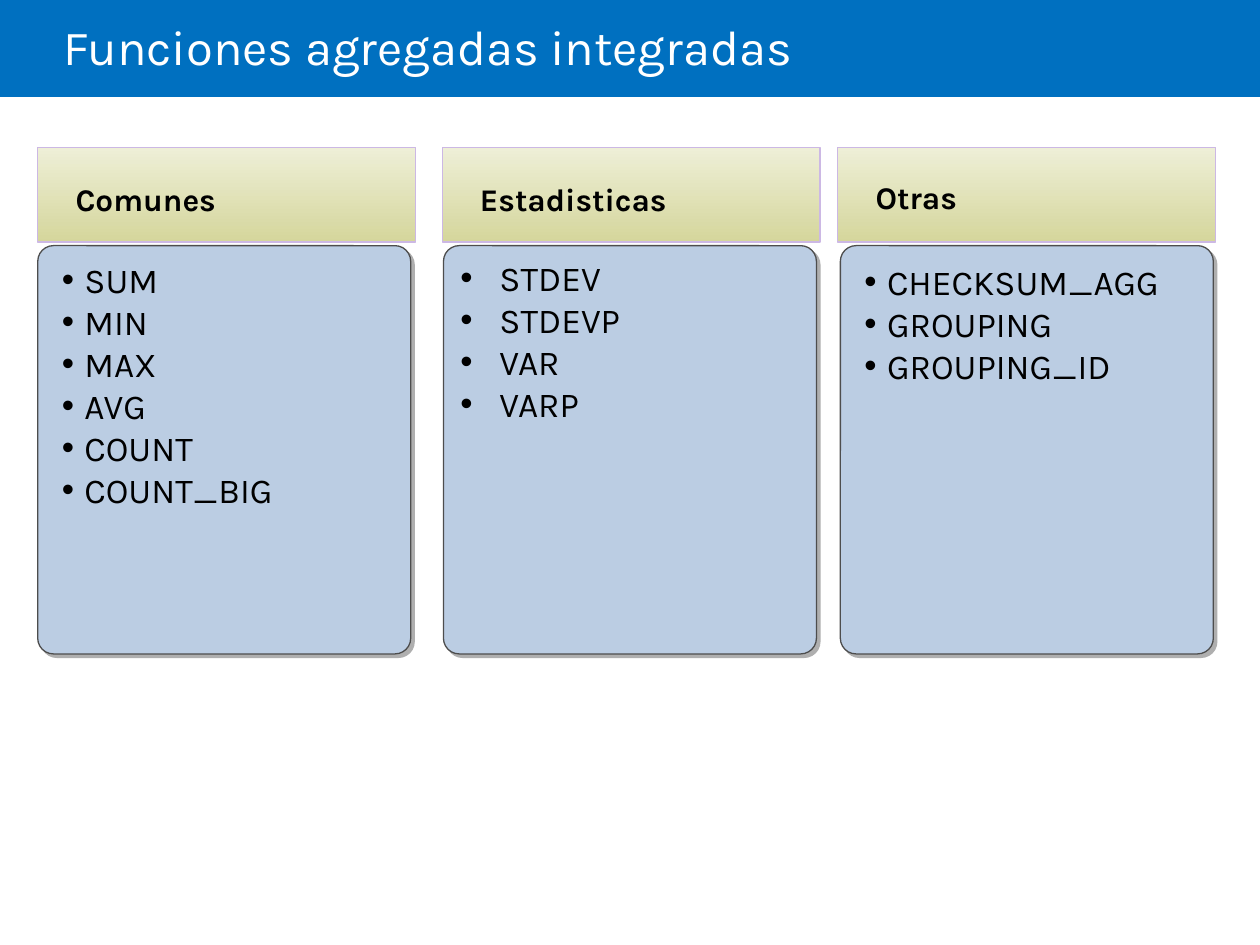
from dataclasses import dataclass

from lxml.etree import SubElement
from pptx import Presentation
from pptx.dml.color import RGBColor
from pptx.enum.shapes import MSO_SHAPE as Preset
from pptx.enum.text import MSO_ANCHOR as Anchor, PP_ALIGN as Align
from pptx.oxml.ns import qn
from pptx.util import Inches, Pt

GRID_COLUMNS, GRID_ROWS = 100, 75


@dataclass(frozen=True)
class Theme:
    font: str = "Karla"
    title_size: int = 28
    heading_size: int = 18
    item_size: int = 20
    band: str = "0070C0"
    title: str = "FFFFFF"
    text: str = "000000"
    panel: str = "BBCDE3"
    panel_line: str = "4D4D4D"
    shadow: str = "AFAFAF"
    heading_top: str = "EEEFD7"
    heading_bottom: str = "D5D69C"
    heading_line: str = "CCB8E4"


@dataclass(frozen=True)
class Box:
    """A place on the grid, in columns and rows."""
    column: float
    row: float
    columns: float
    rows: float


@dataclass(frozen=True)
class Category:
    heading: str
    functions: tuple[str, ...]
    heading_column: float
    panel_column: float
    list_box: Box | None = None  # None: the list is written in the panel
    indent: float = 0.18
    heading_spacing: float = 1.0


THEME = Theme()
CATEGORIES = (
    Category("Comunes", ("SUM", "MIN", "MAX", "AVG", "COUNT", "COUNT_BIG"),
             3, 3, Box(4.9, 20.5, 26.4, 29.8)),
    Category("Estadisticas", ("STDEV", "STDEVP", "VAR", "VARP"),
             35.1, 35.2, indent=0.31),
    Category("Otras", ("CHECKSUM_AGG", "GROUPING", "GROUPING_ID"),
             66.5, 66.7, Box(68.6, 20.7, 28.7, 29.6), heading_spacing=0.9),
)

deck = Presentation()
deck.slide_width, deck.slide_height = Inches(10), Inches(7.5)
slide = deck.slides.add_slide(deck.slide_layouts[3])
shapes = slide.shapes


def color(value: str) -> RGBColor:
    return RGBColor.from_string(value)


def place(box: Box) -> tuple[int, int, int, int]:
    across, down = deck.slide_width / GRID_COLUMNS, deck.slide_height / GRID_ROWS
    return (round(box.column * across), round(box.row * down),
            round(box.columns * across), round(box.rows * down))


def move_to_front(holder, box: Box) -> None:
    holder.left, holder.top, holder.width, holder.height = place(box)
    shapes._spTree.append(holder._element)


def set_insets(frame, left: float, top: float, right: float, bottom: float) -> None:
    frame.margin_left, frame.margin_top = Inches(left), Inches(top)
    frame.margin_right, frame.margin_bottom = Inches(right), Inches(bottom)


def add_block(preset: Preset, box: Box, line: str | None = None):
    block = shapes.add_shape(preset, *place(box))
    block.shadow.inherit = False
    if line:
        block.line.color.rgb = color(line)
        block.line.width = Pt(0.75)
    else:
        block.line.fill.background()
    return block


def write(paragraph, text: str, size: int, ink: str, bold: bool = False) -> None:
    paragraph.alignment = Align.LEFT
    run = paragraph.add_run()
    run.text = text
    run.font.name, run.font.size, run.font.bold = THEME.font, Pt(size), bold
    run.font.color.rgb = color(ink)


def write_list(frame, functions: tuple[str, ...], indent: float) -> None:
    frame.word_wrap = True
    frame.vertical_anchor = Anchor.TOP
    for number, function in enumerate(functions):
        item = frame.add_paragraph() if number else frame.paragraphs[0]
        item.space_before = Pt(0)
        properties = item._p.get_or_add_pPr()
        properties.set("marL", str(Inches(indent)))
        properties.set("indent", str(-Inches(indent)))
        SubElement(properties, qn("a:buFont"), typeface="Arial")
        SubElement(properties, qn("a:buChar"), char="•")
        write(item, function, THEME.item_size, THEME.text)


def add_panel(column: float):
    panel = add_block(Preset.ROUNDED_RECTANGLE, Box(column, 19.5, 29.6, 32.4),
                      THEME.panel_line)
    panel.adjustments[0] = 0.042
    panel.fill.solid()
    panel.fill.fore_color.rgb = color(THEME.panel)
    # Hard shadow towards the lower right
    effects = panel._element.spPr.find(qn("a:effectLst"))
    shadow = SubElement(effects, qn("a:outerShdw"), dist=str(Pt(2.8)),
                        dir="2700000", algn="ctr", rotWithShape="0")
    SubElement(shadow, qn("a:srgbClr"), val=THEME.shadow)
    return panel


def add_heading(category: Category) -> None:
    heading = add_block(Preset.RECTANGLE, Box(category.heading_column, 11.7, 30, 7.5),
                        THEME.heading_line)
    heading.fill.gradient()
    heading.fill.gradient_angle = 270
    for stop, shade in zip(heading.fill.gradient_stops,
                           (THEME.heading_top, THEME.heading_bottom)):
        stop.color.rgb = color(shade)
    frame = heading.text_frame
    frame.word_wrap = True
    frame.vertical_anchor = Anchor.MIDDLE
    set_insets(frame, 0.3, 0.12, 0.1, 0.05)
    frame.paragraphs[0].line_spacing = category.heading_spacing
    write(frame.paragraphs[0], category.heading, THEME.heading_size, THEME.text, True)


# Title band
band = add_block(Preset.RECTANGLE, Box(0, 0, GRID_COLUMNS, 7.7))
band.fill.solid()
band.fill.fore_color.rgb = color(THEME.band)
title = shapes.title
move_to_front(title, Box(5, 0, 85, 8.1))
title.text_frame.vertical_anchor = Anchor.MIDDLE
set_insets(title.text_frame, 0, 0.05, 0.1, 0.05)
title.text_frame.paragraphs[0].line_spacing = 0.85
write(title.text_frame.paragraphs[0], "Funciones agregadas integradas",
      THEME.title_size, THEME.title)

# Function lists on their panels, each under its heading
list_holders = iter([holder for holder in slide.placeholders
                     if holder.placeholder_format.idx in (1, 2)])
for category in CATEGORIES:
    panel = add_panel(category.panel_column)
    if category.list_box:
        function_list = next(list_holders)
        move_to_front(function_list, category.list_box)
        set_insets(function_list.text_frame, 0, 0, 0, 0)
    else:
        function_list = panel
    write_list(function_list.text_frame, category.functions, category.indent)
    add_heading(category)

deck.save("out.pptx")
